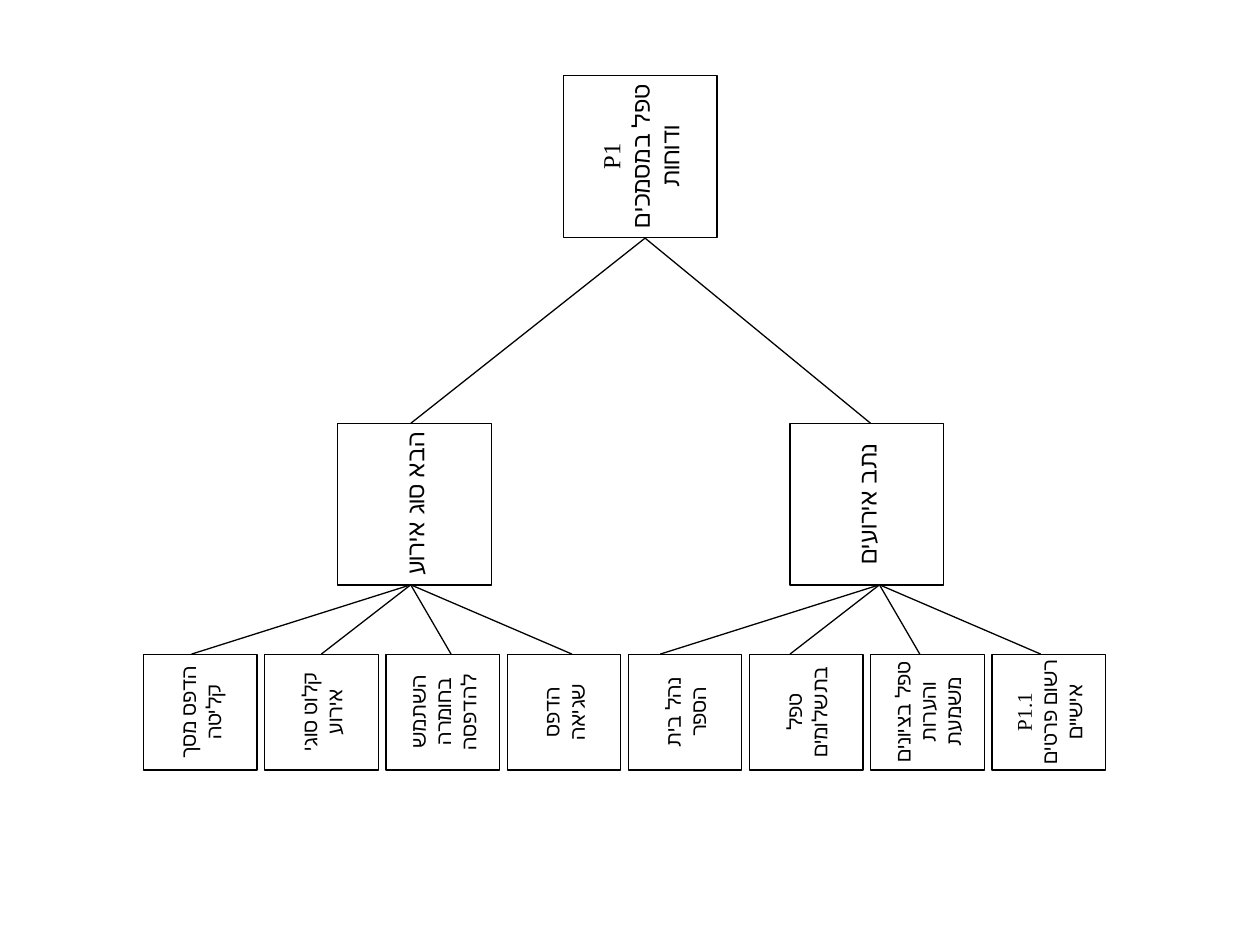
"""Build a structure chart of document and report handling modules."""
from typing import NamedTuple

from lxml.etree import SubElement
from pptx import Presentation
from pptx.dml.color import RGBColor
from pptx.enum.shapes import MSO_CONNECTOR as Connector, MSO_SHAPE as Shape
from pptx.enum.text import MSO_ANCHOR as Anchor, PP_ALIGN as Align
from pptx.oxml.ns import qn
from pptx.util import Pt

BLACK = RGBColor(0x00, 0x00, 0x00)
WHITE = RGBColor(0xFF, 0xFF, 0xFF)
FONT = "Times New Roman"
LINE_WIDTH = 0.75
MODULE_WIDTH, MODULE_HEIGHT = 87.84, 92.4
TASK_WIDTH, TASK_HEIGHT = 64.8, 66.24
TASK_LEFT, TASK_TOP, TASK_PITCH = 82.08, 373.8, 69.26
BRANCH_TOP = 241.92
BRANCH_BOTTOM = 334.2
TASK_OFFSETS = (-125.28, -51.12, 23.04, 92.16)


class Point(NamedTuple):
    x: float
    y: float


class Module(NamedTuple):
    lines: tuple[str, ...]
    left: float
    top: float
    width: float = MODULE_WIDTH
    height: float = MODULE_HEIGHT
    size: float = 14


ROOT_FOOT = Point(368.64, 136.08)
BRANCH_HEADS = (Point(234.72, BRANCH_TOP), Point(497.52, BRANCH_TOP))
BRANCH_FEET = (Point(234.72, BRANCH_BOTTOM), Point(502.56, BRANCH_BOTTOM))
MODULES = (
    Module(("P1", "טפל במסמכים ודוחות"), 321.84, 43.2),
    Module(("נתב אירועים",), 451.44, BRANCH_TOP),
    Module(("הבא סוג אירוע",), 192.96, BRANCH_TOP),
)
TASKS = (
    ("הדפס מסך קליטה",),
    ("קלוט סוגי אירוע",),
    ("השתמש בחומרה להדפסה",),
    ("הדפס שגיאה",),
    ("נהל בית הספר",),
    ("טפל בתשלומים",),
    ("טפל בציונים", "והערות משמעת"),
    ("P1.1", "רשום פרטים אישיים"),
)


def draw_module(slide, module: Module) -> None:
    """Draw a box whose right-to-left text reads upwards."""
    box = slide.shapes.add_shape(
        Shape.RECTANGLE, Pt(module.left), Pt(module.top), Pt(module.width), Pt(module.height)
    )
    box.shadow.inherit = False
    box.fill.solid()
    box.fill.fore_color.rgb = WHITE
    box.line.color.rgb = BLACK
    box.line.width = Pt(LINE_WIDTH)
    frame = box.text_frame
    frame.word_wrap = True
    frame.vertical_anchor = Anchor.MIDDLE
    frame.margin_left = frame.margin_right = Pt(4.32)
    frame.margin_top = frame.margin_bottom = Pt(2.16)
    box.element.txBody.find(qn("a:bodyPr")).set("vert", "vert270")
    frame.text = "\n".join(module.lines)
    for paragraph in frame.paragraphs:
        paragraph.alignment = Align.CENTER
        paragraph._p.get_or_add_pPr().set("rtl", "1")
        paragraph.font.name = FONT
        paragraph.font.size = Pt(module.size)
        paragraph.font.color.rgb = BLACK


def draw_link(slide, start: Point, end: Point) -> None:
    """Draw a thin line between two points."""
    link = slide.shapes.add_connector(
        Connector.STRAIGHT, Pt(start.x), Pt(start.y), Pt(end.x), Pt(end.y)
    )
    link.line.color.rgb = BLACK
    link.line.width = Pt(LINE_WIDTH)
    SubElement(link.element.spPr, qn("a:effectLst"))


def main() -> None:
    """Draw the modules, their tasks and the links, then save."""
    deck = Presentation()
    deck.slide_width, deck.slide_height = Pt(720), Pt(540)
    slide = deck.slides.add_slide(deck.slide_layouts[6])
    for module in MODULES:
        draw_module(slide, module)
    for head in BRANCH_HEADS:
        draw_link(slide, head, ROOT_FOOT)
    for index, lines in enumerate(TASKS):
        left = TASK_LEFT + index * TASK_PITCH
        draw_module(slide, Module(lines, left, TASK_TOP, TASK_WIDTH, TASK_HEIGHT, 12))
    for foot in BRANCH_FEET:
        for offset in TASK_OFFSETS:
            draw_link(slide, foot, Point(foot.x + offset, TASK_TOP))
    deck.save("out.pptx")


if __name__ == "__main__":
    main()
